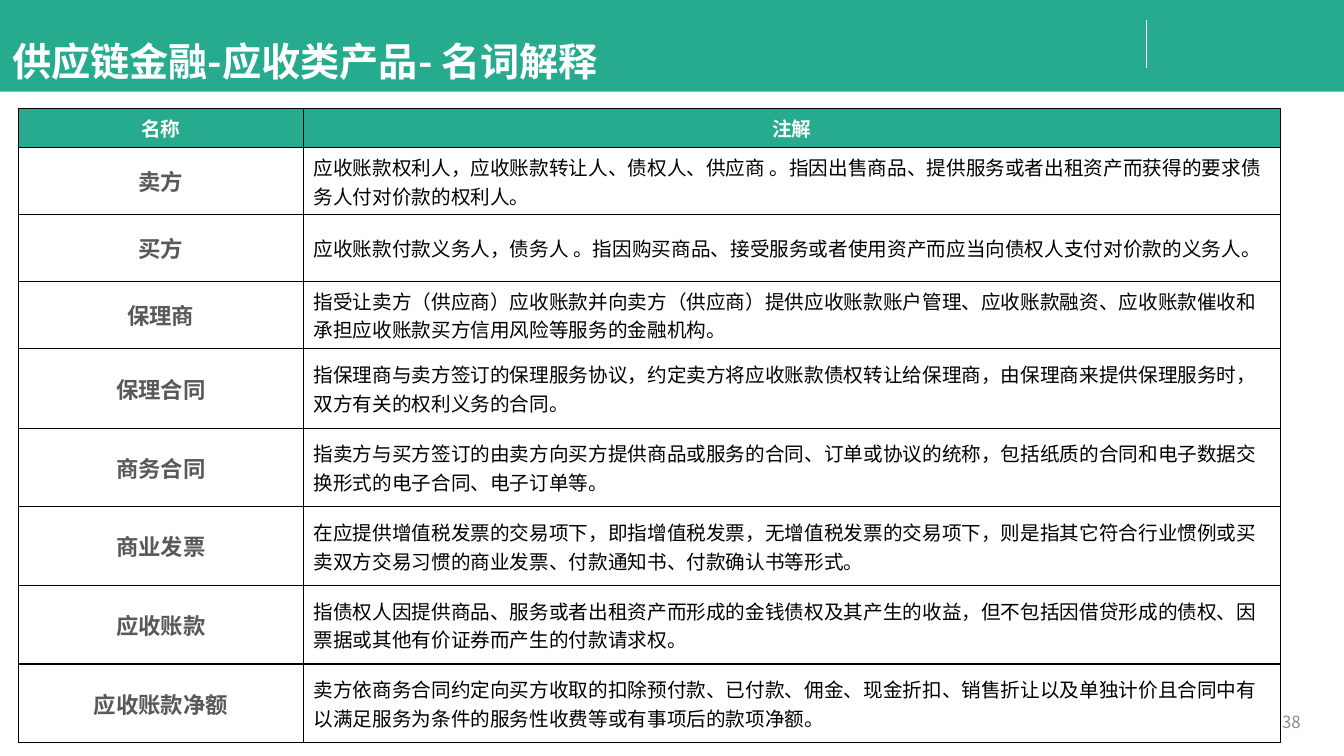
from lxml import etree
from pptx import Presentation
from pptx import util as u
from pptx.dml.color import RGBColor
from pptx.enum import shapes, text
from pptx.oxml.ns import qn

HUES = {"green": "26AB8E", "white": "FFFFFF", "black": "000000",
        "dark": "595959", "grey": "8C8C8C"}
NOTO, ARIAL = "Noto Sans CJK SC", "Arial"
LEFT, MID, RIGHT = text.PP_ALIGN.LEFT, text.PP_ALIGN.CENTER, text.PP_ALIGN.RIGHT

HEAD = ("名称", "注解")
TERMS = [
    ("卖方", "应收账款权利人，应收账款转让人、债权人、供应商 。指因出售商品、提供服务或者出租资产而获得的要求债务人付对价款的权利人。"),
    ("买方", "应收账款付款义务人，债务人 。指因购买商品、接受服务或者使用资产而应当向债权人支付对价款的义务人。"),
    ("保理商", "指受让卖方（供应商）应收账款并向卖方（供应商）提供应收账款账户管理、应收账款融资、应收账款催收和承担应收账款买方信用风险等服务的金融机构。"),
    ("保理合同", "指保理商与卖方签订的保理服务协议，约定卖方将应收账款债权转让给保理商，由保理商来提供保理服务时，双方有关的权利义务的合同。"),
    ("商务合同", "指卖方与买方签订的由卖方向买方提供商品或服务的合同、订单或协议的统称，包括纸质的合同和电子数据交换形式的电子合同、电子订单等。"),
    ("商业发票", "在应提供增值税发票的交易项下，即指增值税发票，无增值税发票的交易项下，则是指其它符合行业惯例或买卖双方交易习惯的商业发票、付款通知书、付款确认书等形式。"),
    ("应收账款", "指债权人因提供商品、服务或者出租资产而形成的金钱债权及其产生的收益，但不包括因借贷形成的债权、因票据或其他有价证券而产生的付款请求权。"),
    ("应收账款净额", "卖方依商务合同约定向买方收取的扣除预付款、已付款、佣金、现金折扣、销售折让以及单独计价且合同中有以满足服务为条件的服务性收费等或有事项后的款项净额。"),
]
COLS = (2.83, 9.69)
ROWS = (0.35, 0.53, 0.66, 0.61, 0.79) + (0.78,) * 4


def hue(name):
    return RGBColor.from_string(HUES[name])


def box(*at):
    return [u.Inches(n) for n in at]


class Deck:
    def __init__(self):
        self.prs = Presentation()
        self.prs.slide_width, self.prs.slide_height = box(13.33, 7.5)
        self.slide = self.prs.slides.add_slide(self.prs.slide_layouts[5])
        self.shapes = self.slide.shapes

    def put(self, frame, words, size, tint, bold=False, face=NOTO, align=LEFT):
        """Add one styled run of text to the first paragraph of a frame."""
        frame.word_wrap = True
        para = frame.paragraphs[0]
        para.alignment = align
        run = para.add_run()
        run.text = words
        font = run.font
        font.size, font.bold, font.name = u.Pt(size), bold, face
        font.color.rgb = hue(tint)
        east = etree.Element(qn("a:ea"), typeface=NOTO)
        run._r.rPr.find(qn("a:latin")).addnext(east)

    def band(self, at, tint):
        rect = self.shapes.add_shape(shapes.MSO_SHAPE.RECTANGLE, *box(*at))
        rect.shadow.inherit = False
        rect.fill.solid()
        rect.fill.fore_color.rgb = hue(tint)
        rect.line.fill.background()

    def rule(self, ends, tint, width):
        line = self.shapes.add_connector(shapes.MSO_CONNECTOR.STRAIGHT, *box(*ends))
        line.line.color.rgb = hue(tint)
        line.line.width = u.Pt(width)
        etree.SubElement(line._element.spPr, qn("a:effectLst"))

    def title(self, at, words):
        """Place the title above the shapes drawn so far."""
        head = self.shapes.title
        self.shapes._spTree.append(head._element)
        head.left, head.top, head.width, head.height = box(*at)
        head.text_frame.vertical_anchor = text.MSO_ANCHOR.MIDDLE
        self.put(head.text_frame, words, 28, "white", True)

    def label(self, at, words, **style):
        frame = self.shapes.add_textbox(*box(*at)).text_frame
        frame.vertical_anchor = text.MSO_ANCHOR.MIDDLE
        self.put(frame, words, **style)

    def edge(self, cell, tint, width):
        """Draw all four borders of a cell; call before setting its fill."""
        props = cell._tc.get_or_add_tcPr()
        for side in "LRTB":
            line = etree.SubElement(props, qn("a:ln" + side), w=str(u.Pt(width)))
            fill = etree.SubElement(line, qn("a:solidFill"))
            etree.SubElement(fill, qn("a:srgbClr"), val=HUES[tint])

    def table(self, left, top, cols, rows, data, styles):
        """Fill a grid; styles holds the header style, then one per column."""
        at = box(left, top, sum(cols), sum(rows))
        grid = self.shapes.add_table(len(rows), len(cols), *at).table
        grid.first_row = grid.horz_banding = False
        for col, wide in zip(grid.columns, cols):
            col.width = u.Inches(wide)
        for row, tall in zip(grid.rows, rows):
            row.height = u.Inches(tall)
        for r, words in enumerate(data):
            for c, word in enumerate(words):
                cell = grid.cell(r, c)
                self.edge(cell, "black", 1)
                if r == 0:
                    cell.vertical_anchor = text.MSO_ANCHOR.BOTTOM
                    cell.fill.solid()
                    cell.fill.fore_color.rgb = hue("green")
                else:
                    cell.vertical_anchor = text.MSO_ANCHOR.MIDDLE
                    cell.fill.background()
                self.put(cell.text_frame, word, **styles[c + 1 if r else 0])


def main():
    deck = Deck()
    deck.band((0, 0, 13.33, 0.91), "green")
    deck.rule((11.37, 0.2, 11.37, 0.67), "white", 0.5)
    deck.label((10.22, 7, 2.78, 0.33), "38", size=12, tint="grey", align=RIGHT)
    deck.title((0.02, 0.23, 9.76, 0.75), "供应链金融-应收类产品- 名词解释")
    styles = (
        dict(size=14, tint="white", bold=True, align=MID),
        dict(size=16, tint="dark", bold=True, face=ARIAL, align=MID),
        dict(size=14, tint="black", face=ARIAL),
    )
    deck.table(0.18, 1.08, COLS, ROWS, [HEAD] + TERMS, styles)
    deck.prs.save("out.pptx")


if __name__ == "__main__":
    main()
